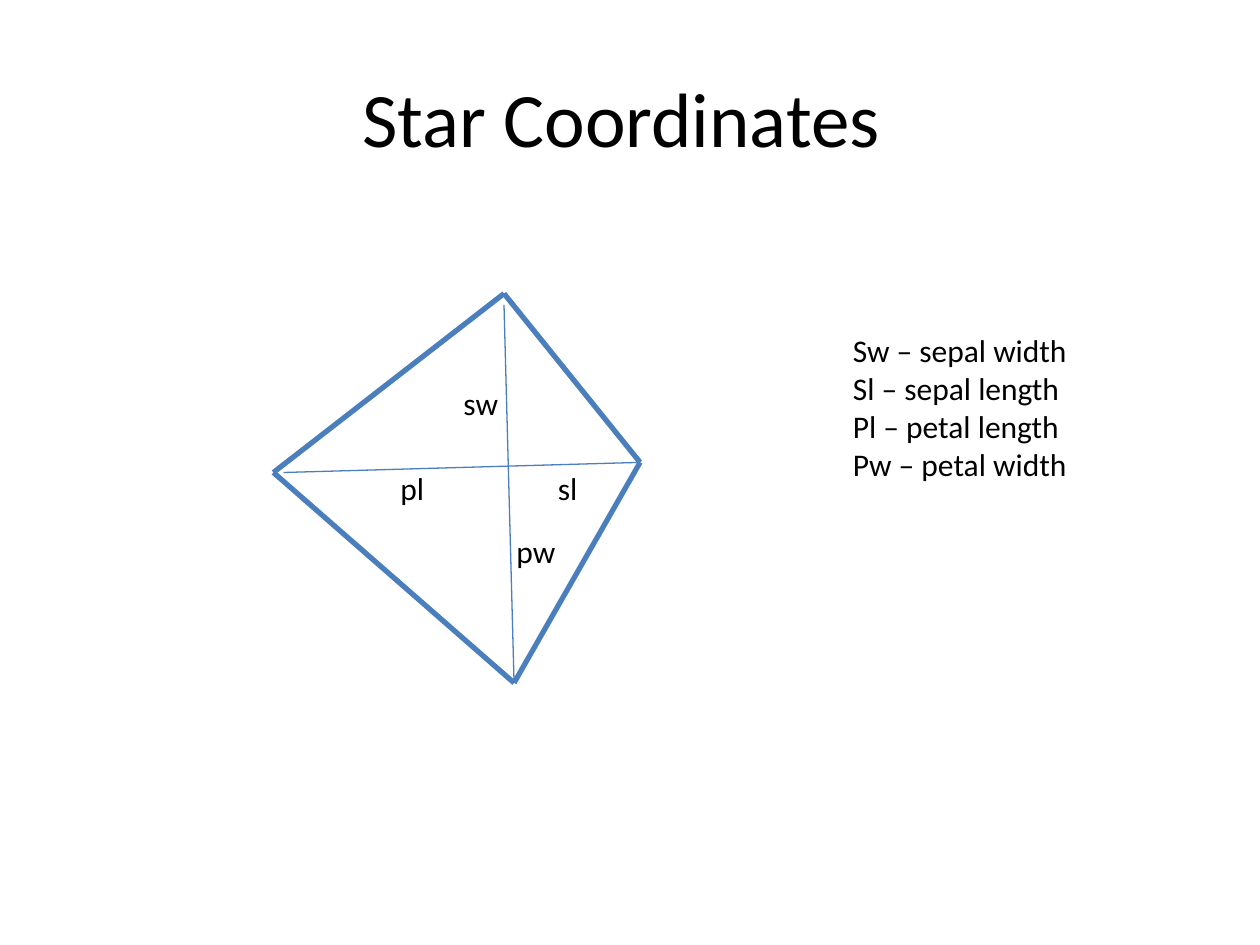
from lxml import etree
from pptx import Presentation
from pptx.dml.color import RGBColor
from pptx.enum.shapes import MSO_CONNECTOR
from pptx.enum.text import MSO_ANCHOR, MSO_AUTO_SIZE, PP_ALIGN
from pptx.oxml.ns import qn
from pptx.util import Inches, Pt

STRAIGHT = MSO_CONNECTOR.STRAIGHT
MIDDLE = MSO_ANCHOR.MIDDLE
CENTER, LEFT = PP_ALIGN.CENTER, PP_ALIGN.LEFT
GROW = MSO_AUTO_SIZE.SHAPE_TO_FIT_TEXT
FONT = "Calibri"
BLUE, BLACK = "4B7EBC", "000000"


def color(value):
    return RGBColor.from_string(value)


def write(tf, lines, size, align):
    for i, line in enumerate(lines):
        p = tf.paragraphs[0] if i == 0 else tf.add_paragraph()
        p.alignment = align
        r = p.add_run()
        r.text = line
        r.font.name = FONT
        r.font.size = Pt(size)
        r.font.color.rgb = color(BLACK)


def add_title(s, text):
    sp = s.shapes.title
    sp.left, sp.top = Inches(0.5), Inches(0.3)
    sp.width, sp.height = Inches(9), Inches(1.25)
    sp.text_frame.vertical_anchor = MIDDLE
    write(sp.text_frame, [text], 44, CENTER)


def add_line(s, start, end, width):
    x1, y1, x2, y2 = map(Inches, (*start, *end))
    line = s.shapes.add_connector(STRAIGHT, x1, y1, x2, y2)
    line.line.color.rgb = color(BLUE)
    line.line.width = Pt(width)
    etree.SubElement(line._element.spPr, qn("a:effectLst"))


def add_text(s, x, y, w, h, *lines):
    sp = s.shapes.add_textbox(Inches(x), Inches(y), Inches(w), Inches(h))
    tf = sp.text_frame
    tf.word_wrap = False
    tf.auto_size = GROW
    write(tf, lines, 18, LEFT)


def main():
    prs = Presentation()
    prs.slide_width, prs.slide_height = Inches(10), Inches(7.5)
    s = prs.slides.add_slide(prs.slide_layouts[5])
    add_title(s, "Star Coordinates ")

    top, right, bottom, left = (4, 2.33), (5.08, 3.67), (4.08, 5.42), (2.17, 3.75)
    corners = [top, right, bottom, left]
    for start, end in zip(corners, corners[1:] + corners[:1]):
        add_line(s, start, end, 3)
    add_line(s, (4, 2.42), bottom, 0.75)
    add_line(s, (2.25, 3.75), right, 0.75)

    for text, x, y, w in [
        ("sw", 3.58, 3, 0.48),
        ("sl", 4.33, 3.67, 0.36),
        ("pl", 3.08, 3.67, 0.39),
        ("pw", 4, 4.17, 0.51),
    ]:
        add_text(s, x, y, w, 0.4, text)
    add_text(s, 6.67, 2.58, 1.92, 1.31, "Sw – sepal width", "Sl – sepal length",
             "Pl – petal length", "Pw – petal width")
    prs.save("out.pptx")


main()
